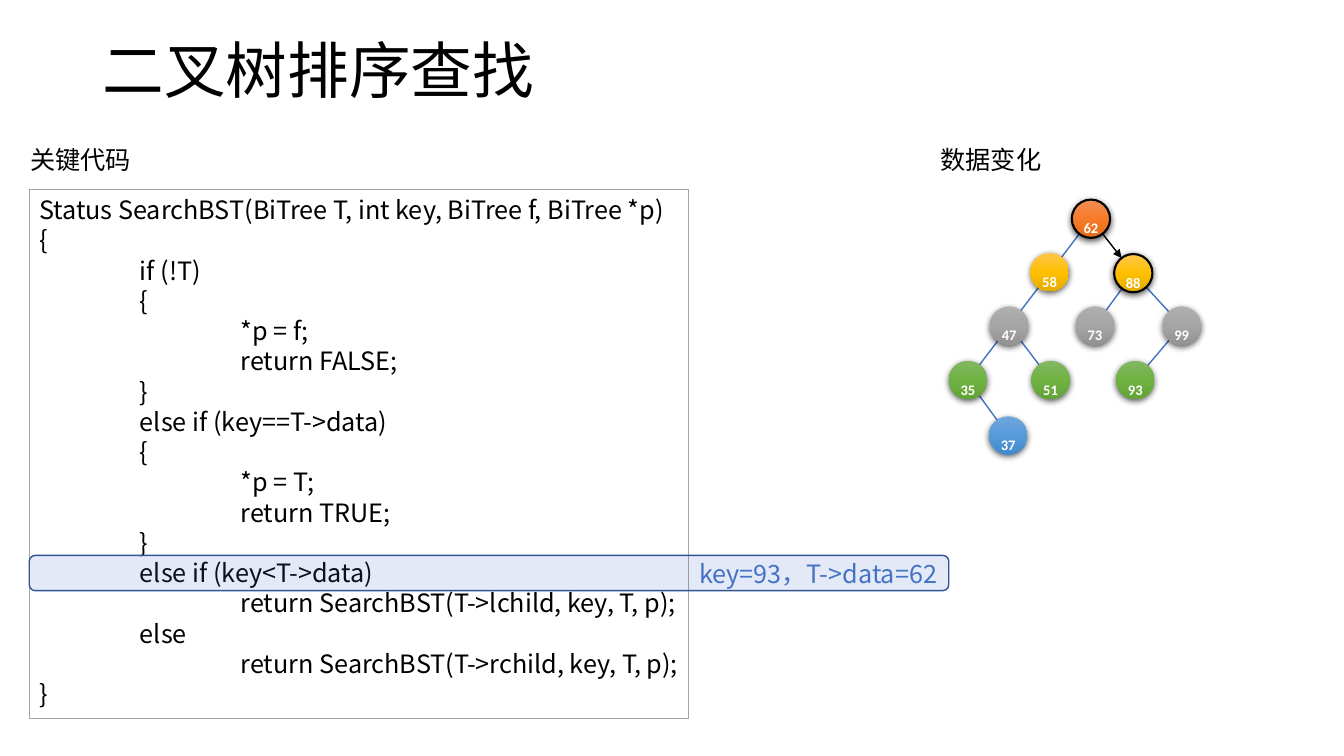
from copy import deepcopy
from dataclasses import dataclass
from math import dist

from lxml.etree import SubElement
from pptx import Presentation
from pptx.dml.color import RGBColor
from pptx.enum.shapes import MSO_CONNECTOR, MSO_SHAPE
from pptx.enum.text import MSO_ANCHOR, PP_ALIGN
from pptx.oxml.ns import qn
from pptx.util import Inches, Pt

TITLE = "二叉树排序查找"
LABELS = [("关键代码", (0.2, 1.38, 1.25, 0.4)), ("数据变化", (9.23, 1.38, 1.21, 0.4))]
CODE = [
    (0, "Status SearchBST(BiTree T, int key, BiTree f, BiTree *p)"),
    (0, "{"),
    (1, "if (!T)"),
    (1, "{"),
    (2, "*p = f;"),
    (2, "return FALSE;"),
    (1, "}"),
    (1, "else if (key==T->data)"),
    (1, "{"),
    (2, "*p = T;"),
    (2, "return TRUE;"),
    (1, "}"),
    (1, "else if (key<T->data)"),
    (2, "return SearchBST(T->lchild, key, T, p);"),
    (1, "else"),
    (2, "return SearchBST(T->rchild, key, T, p);"),
    (0, "}"),
]
STATE = "key=93，T->data=62"
NODES = {
    62: (10.82, 2.17, "orange"),
    58: (10.41, 2.7, "gold"),
    47: (10.01, 3.23, "gray"),
    35: (9.6, 3.77, "green"),
    88: (11.24, 2.71, "gold"),
    99: (11.72, 3.23, "gray"),
    73: (10.86, 3.23, "gray"),
    51: (10.42, 3.77, "green"),
    37: (10.0, 4.32, "blue"),
    93: (11.26, 3.77, "green"),
}
EDGES = [(88, 73), (99, 93), (35, 37), (47, 51), (88, 99), (62, 35)]
VISIT = (62, 88)
SIZE = 0.38


@dataclass
class Theme:
    ink: str = "000000"
    paper: str = "FFFFFF"
    frame: str = "A5A5A5"
    blue: str = "4472C4"
    navy: str = "325491"
    body: str = "Noto Sans CJK SC"
    digit: str = "Calibri"
    big: int = 44
    text: int = 18
    lead: float = 1.2
    tight: float = 1.04


THEME = Theme()
SHADES = {
    "orange": ("F18C57", "F67B28", "E56C19"),
    "gold": ("FFC64B", "FFC000", "E3AB00"),
    "gray": ("AFAFAF", "A5A5A5", "939393"),
    "green": ("81B861", "6FB242", "62A336"),
    "blue": ("71A6DB", "559BDB", "448ACA"),
}


def color(code):
    return RGBColor.from_string(code)


def write(shape, text, size=THEME.text, font=THEME.body, ink=THEME.ink, bold=False,
          align=PP_ALIGN.LEFT, anchor=MSO_ANCHOR.TOP, wrap=True, lead=THEME.lead,
          side=0.1, base=0, tabs=()):
    frame = shape.text_frame
    frame.word_wrap = wrap
    frame.vertical_anchor = anchor
    frame.margin_left = frame.margin_right = Inches(side)
    for i, line in enumerate(text.splitlines()):
        para = frame.add_paragraph() if i else frame.paragraphs[0]
        para.alignment = align
        if lead:
            para.line_spacing = Pt(size * lead)
        if tabs:
            stops = SubElement(para._p.get_or_add_pPr(), qn("a:tabLst"))
            for stop in tabs:
                SubElement(stops, qn("a:tab"), pos=str(Inches(stop)), algn="l")
        run = para.add_run()
        run.text = line
        run.font.size = Pt(size)
        run.font.bold = bold
        run.font.color.rgb = color(ink)
        run.font.name = font
        props = run.font._element
        SubElement(props, qn("a:ea"), typeface=font)
        if base:
            props.set("baseline", str(base * 1000))


def place(shapes, box, kind=None):
    spot = [Inches(v) for v in box]
    if kind is None:
        return shapes.add_textbox(*spot)
    shape = shapes.add_shape(kind, *spot)
    shape.shadow.inherit = False
    return shape


def outline(shape, ink, width=1):
    shape.line.color.rgb = color(ink)
    shape.line.width = Pt(width)


def link(shapes, start, end, ink, arrow=False):
    line = shapes.add_connector(MSO_CONNECTOR.STRAIGHT, *[Inches(v) for v in (*start, *end)])
    outline(line, ink)
    if arrow:
        SubElement(line.line._get_or_add_ln(), qn("a:tailEnd"), type="triangle")
    SubElement(line._element.spPr, qn("a:effectLst"))


def shade(shape, tones):
    fill = shape.fill
    fill.gradient()
    fill.gradient_angle = 270
    stops = shape._element.spPr.find(".//" + qn("a:gsLst"))
    stops.append(deepcopy(stops[0]))
    for i, (stop, tone) in enumerate(zip(fill.gradient_stops, tones)):
        stop.position = i / 2
        stop.color.rgb = color(tone)


def shadow(shape):
    effects = shape._element.spPr.find(qn("a:effectLst"))
    outer = SubElement(effects, qn("a:outerShdw"), blurRad=str(Pt(4.5)), dist=str(Pt(1.5)),
                       dir="5400000", algn="ctr", rotWithShape="0")
    tint = SubElement(outer, qn("a:srgbClr"), val=THEME.ink)
    SubElement(tint, qn("a:alpha"), val="63000")


def draw_code(shapes):
    panel = place(shapes, (0.29, 1.88, 6.54, 5.25), MSO_SHAPE.RECTANGLE)
    panel.fill.solid()
    panel.fill.fore_color.rgb = color(THEME.paper)
    outline(panel, THEME.frame)
    write(panel, "\n".join("\t" * depth + line for depth, line in CODE), tabs=(1, 2))

    band = place(shapes, (0.29, 5.51, 9.12, 0.35), MSO_SHAPE.ROUNDED_RECTANGLE)
    band.fill.solid()
    band.fill.fore_color.rgb = color(THEME.blue)
    tint = band._element.spPr.find(qn("a:solidFill"))[0]
    SubElement(tint, qn("a:alpha"), val="15000")
    outline(band, THEME.navy)
    write(band, STATE, ink=THEME.blue, align=PP_ALIGN.RIGHT, anchor=MSO_ANCHOR.MIDDLE)


def draw_tree(shapes):
    start, end = (NODES[key][:2] for key in VISIT)
    span = dist(start, end)
    near, far = 0.1 / span, 1 - SIZE / 2 / span
    tip = [[a + (b - a) * part for a, b in zip(start, end)] for part in (near, far)]
    link(shapes, *tip, THEME.ink, arrow=True)
    for top, low in EDGES:
        link(shapes, NODES[top][:2], NODES[low][:2], THEME.blue)

    for key, (x, y, tone) in NODES.items():
        left, top = x - SIZE / 2, y - SIZE / 2
        group = shapes.add_group_shape()
        ball = place(group.shapes, (left, top, SIZE, SIZE), MSO_SHAPE.OVAL)
        shade(ball, SHADES[tone])
        if key in VISIT:
            outline(ball, THEME.ink, 1.5)
        else:
            ball.line.fill.background()
        shadow(ball)
        label = place(group.shapes, (left, top - 0.02, SIZE, 0.3))
        write(label, str(key), font=THEME.digit, ink=THEME.paper, bold=True,
              align=PP_ALIGN.CENTER, lead=None, side=0, base=-25)


def main():
    deck = Presentation()
    deck.slide_width, deck.slide_height = Inches(13.33), Inches(7.5)
    shapes = deck.slides.add_slide(deck.slide_layouts[6]).shapes
    title = place(shapes, (0.92, 0.01, 11.5, 1.45))
    write(title, TITLE, size=THEME.big, anchor=MSO_ANCHOR.MIDDLE, lead=THEME.tight)
    draw_code(shapes)
    for text, box in LABELS:
        write(place(shapes, box), text, wrap=False)
    draw_tree(shapes)
    deck.save("out.pptx")


if __name__ == "__main__":
    main()
